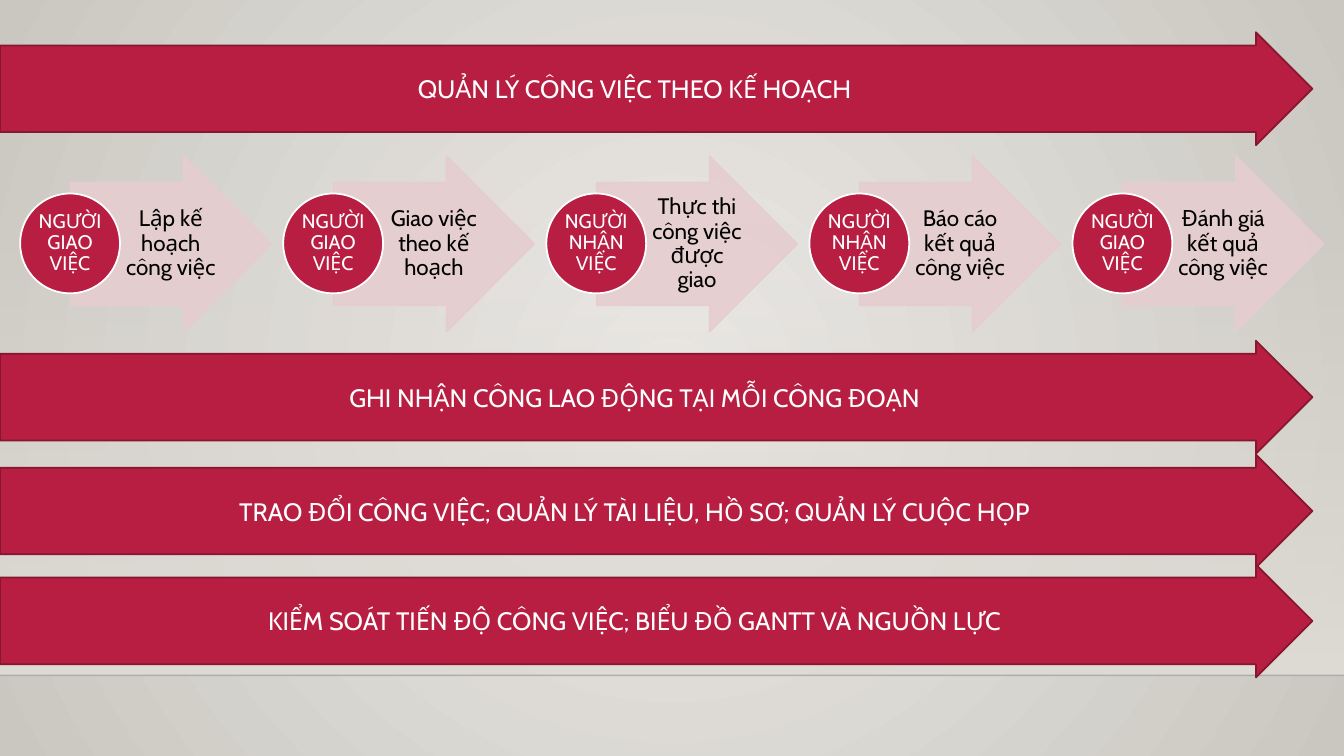
from dataclasses import dataclass

from lxml.etree import SubElement
from pptx import Presentation
from pptx.dml.color import RGBColor
from pptx.enum.shapes import MSO_CONNECTOR, MSO_SHAPE
from pptx.enum.text import MSO_ANCHOR, PP_ALIGN
from pptx.oxml.ns import qn
from pptx.shapes.autoshape import Shape
from pptx.slide import Slide
from pptx.util import Pt

CRIMSON = RGBColor(0xB7, 0x1E, 0x42)
DARK_CRIMSON = RGBColor(0x87, 0x16, 0x31)
PINK = RGBColor(0xE6, 0xCD, 0xCF)
SAND = RGBColor(0xDF, 0xDB, 0xD5)
LIGHT = RGBColor(0xEC, 0xEA, 0xE7)
SHADE = RGBColor(0xCA, 0xC7, 0xC1)
WHITE = RGBColor(0xFF, 0xFF, 0xFF)
BLACK = RGBColor(0x00, 0x00, 0x00)

FONT = "Cabin"
SLIDE_W, SLIDE_H = 960, 540
FLOOR_TOP, FLOOR_BOTTOM = 159.12, 482.4
STEP_PITCH = 187.92


@dataclass
class Step:
    role: str
    task: str


@dataclass
class Banner:
    top: float
    text: str


STEPS = [
    Step("NGƯỜI GIAO VIỆC", "Lập kế hoạch công việc"),
    Step("NGƯỜI GIAO VIỆC", "Giao việc theo kế hoạch"),
    Step("NGƯỜI NHẬN VIỆC", "Thực thi công việc được giao"),
    Step("NGƯỜI NHẬN VIỆC", "Báo cáo kết quả công việc"),
    Step("NGƯỜI GIAO VIỆC", "Đánh giá kết quả công việc"),
]
BANNERS = [
    Banner(23.04, "QUẢN LÝ CÔNG VIỆC THEO KẾ HOẠCH"),
    Banner(243.36, "GHI NHẬN CÔNG LAO ĐỘNG TẠI MỖI CÔNG ĐOẠN"),
    Banner(324.72, "TRAO ĐỔI CÔNG VIỆC; QUẢN LÝ TÀI LIỆU, HỒ SƠ; QUẢN LÝ CUỘC HỌP"),
    Banner(403.2, "KIỂM SOÁT TIẾN ĐỘ CÔNG VIỆC; BIỂU ĐỒ GANTT VÀ NGUỒN LỰC"),
]


def set_alpha(element, percent: int) -> None:
    """Make every solid colour inside the element partly transparent."""
    for color in element.iter(qn("a:srgbClr")):
        SubElement(color, qn("a:alpha"), val=str(percent * 1000))


def set_stops(element, stops: list[tuple[RGBColor, int]]):
    """Replace the gradient's content with two (colour, alpha) stops."""
    grad = element.find(".//" + qn("a:gradFill"))
    for child in list(grad):
        grad.remove(child)
    stop_list = SubElement(grad, qn("a:gsLst"))
    for pos, (color, alpha) in zip((0, 100000), stops):
        stop = SubElement(stop_list, qn("a:gs"), pos=str(pos))
        clr = SubElement(stop, qn("a:srgbClr"), val=str(color))
        SubElement(clr, qn("a:alpha"), val=str(alpha * 1000))
    return grad


def add_shape(s: Slide, kind: MSO_SHAPE, left: float, top: float, width: float,
              height: float, fill: RGBColor, line: RGBColor) -> Shape:
    sp = s.shapes.add_shape(kind, Pt(left), Pt(top), Pt(width), Pt(height))
    sp.shadow.inherit = False
    sp.fill.solid()
    sp.fill.fore_color.rgb = fill
    sp.line.color.rgb = line
    sp.line.width = Pt(1.25)
    return sp


def set_text(sp: Shape, text: str, size: float, color: RGBColor,
             spacing: float = 1.0) -> None:
    tf = sp.text_frame
    tf.word_wrap = True
    tf.vertical_anchor = MSO_ANCHOR.MIDDLE
    tf.text = text
    p = tf.paragraphs[0]
    p.alignment = PP_ALIGN.CENTER
    p.line_spacing = spacing
    font = p.runs[0].font
    font.name, font.size, font.color.rgb = FONT, Pt(size), color


def set_margins(sp: Shape, left: float, right: float) -> None:
    tf = sp.text_frame
    tf.margin_left, tf.margin_right = Pt(left), Pt(right)
    tf.margin_top = tf.margin_bottom = Pt(0.7)


def add_backdrop(s: Slide) -> None:
    s.background.fill.gradient()
    grad = set_stops(s._element, [(LIGHT, 100), (SHADE, 100)])
    circle = SubElement(grad, qn("a:path"), path="circle")
    SubElement(circle, qn("a:fillToRect"), l="50000", t="50000", r="50000", b="50000")

    wall = add_shape(s, MSO_SHAPE.RECTANGLE, 0, FLOOR_TOP, SLIDE_W,
                     FLOOR_BOTTOM - FLOOR_TOP, SAND, SAND)
    wall.line.fill.background()
    wall.fill.gradient()
    grad = set_stops(wall._element, [(SAND, 0), (SAND, 100)])
    SubElement(grad, qn("a:lin"), ang="5400000", scaled="0")

    edge = s.shapes.add_connector(MSO_CONNECTOR.STRAIGHT, Pt(0), Pt(FLOOR_BOTTOM),
                                  Pt(SLIDE_W), Pt(FLOOR_BOTTOM))
    edge.line.color.rgb = BLACK
    edge.line.width = Pt(1)
    set_alpha(edge._element, 20)
    SubElement(edge._element.spPr, qn("a:effectLst"))


def add_step(s: Slide, step: Step, left: float) -> None:
    arrow = add_shape(s, MSO_SHAPE.RIGHT_ARROW, left + 36, 111.6, 143.28, 125.28,
                      PINK, PINK)
    arrow.adjustments[0], arrow.adjustments[1] = 0.7, 0.5
    set_alpha(arrow._element, 90)

    task = s.shapes.add_textbox(Pt(left + 72), Pt(130.32), Pt(69.84), Pt(87.84))
    set_text(task, step.task, 16, BLACK, 0.9)
    set_margins(task, 2.88, 1.44)

    role = add_shape(s, MSO_SHAPE.OVAL, left, 138.24, 71.28, 71.28, CRIMSON, WHITE)
    set_text(role, step.role, 14, WHITE, 0.9)
    set_margins(role, 0.7, 0.7)


def add_banner(s: Slide, banner: Banner) -> None:
    arrow = add_shape(s, MSO_SHAPE.RIGHT_ARROW, 0, banner.top, 937.44, 80.64,
                      CRIMSON, DARK_CRIMSON)
    arrow.adjustments[0], arrow.adjustments[1] = 0.767, 0.5
    set_text(arrow, banner.text, 18, WHITE)


def main() -> None:
    prs = Presentation()
    prs.slide_width, prs.slide_height = Pt(SLIDE_W), Pt(SLIDE_H)
    s = prs.slides.add_slide(prs.slide_layouts[6])

    # Background, wall and floor edge
    add_backdrop(s)

    # Process steps
    for i, step in enumerate(STEPS):
        add_step(s, step, 14.4 + i * STEP_PITCH)

    # Full-width banners
    for banner in BANNERS:
        add_banner(s, banner)

    prs.save("out.pptx")


if __name__ == "__main__":
    main()
